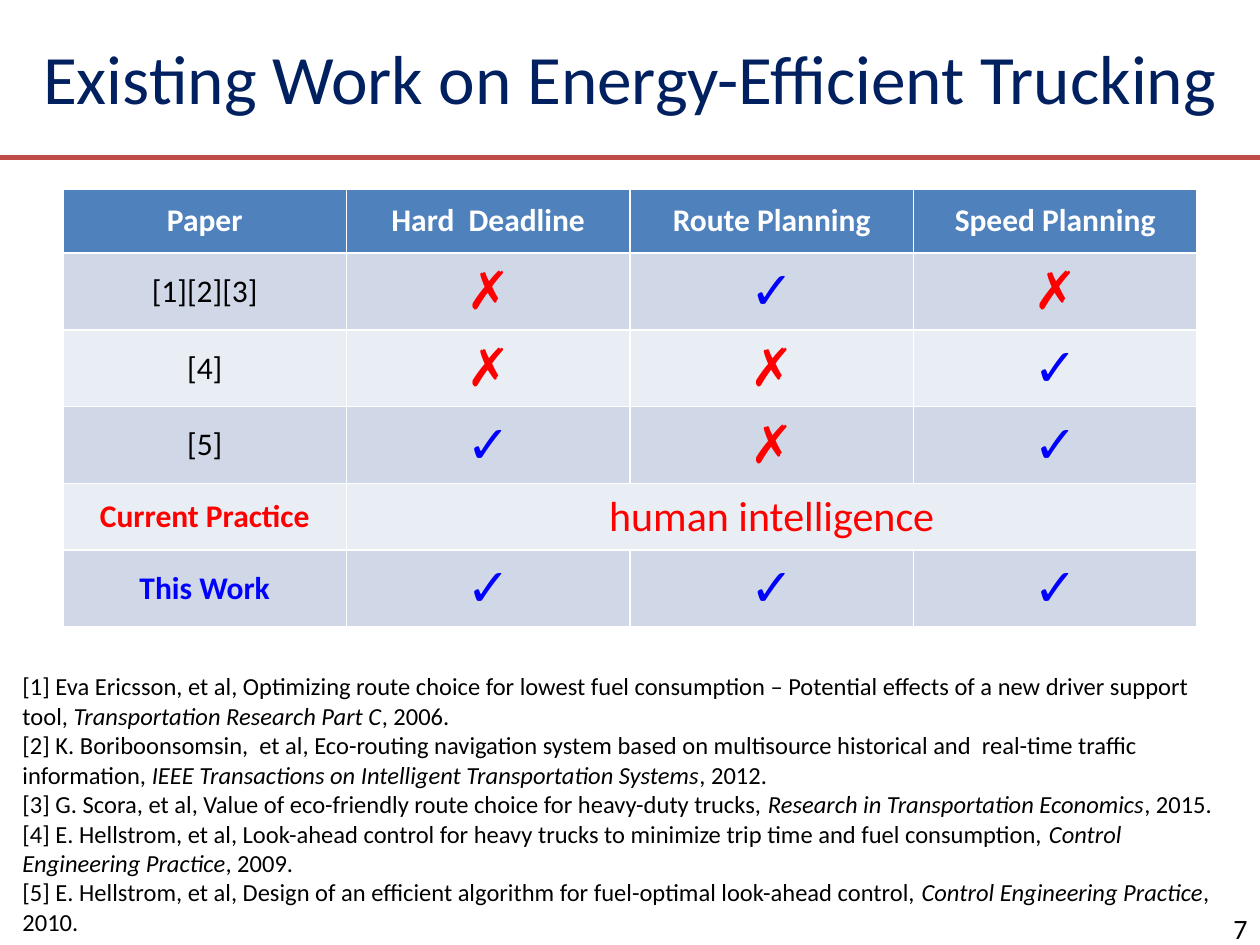
"""Build the slide comparing existing work on energy-efficient trucking."""
from lxml.etree import SubElement
from pptx import Presentation
from pptx.dml.color import RGBColor
from pptx.enum.text import MSO_ANCHOR, MSO_AUTO_SIZE, PP_ALIGN
from pptx.oxml.ns import qn
from pptx.util import Inches, Pt

FONT = "Calibri"
NAVY = RGBColor(0x00, 0x20, 0x60)
RULE_RED = RGBColor(0xBF, 0x4C, 0x48)
HEADER_BLUE = RGBColor(0x4F, 0x81, 0xBD)
BAND_DARK = RGBColor(0xD0, 0xD8, 0xE8)
BAND_LIGHT = RGBColor(0xE9, 0xED, 0xF4)
WHITE = RGBColor(0xFF, 0xFF, 0xFF)
BLACK = RGBColor(0x00, 0x00, 0x00)
RED = RGBColor(0xFF, 0x00, 0x00)
BLUE = RGBColor(0x00, 0x00, 0xFF)

TITLE = "Existing Work on Energy-Efficient Trucking"
PAGE = "7"
HEADINGS = ["Paper", "Hard  Deadline", "Route Planning", "Speed Planning"]
ROWS = [
    ["[1][2][3]", "✗", "✓", "✗"],
    ["[4]", "✗", "✗", "✓"],
    ["[5]", "✓", "✗", "✓"],
    ["Current Practice", "human intelligence"],
    ["This Work", "✓", "✓", "✓"],
]
STYLES = {
    "✗": (30, RED, False),
    "✓": (30, BLUE, False),
    "Current Practice": (18, RED, True),
    "human intelligence": (24, RED, False),
    "This Work": (18, BLUE, True),
}
REFERENCES = [
    ("[1] Eva Ericsson, et al, Optimizing route choice for lowest fuel consumption – "
     "Potential effects of a new driver support tool, ",
     "Transportation Research Part C", ", 2006."),
    ("[2] K. Boriboonsomsin,  et al, Eco-routing navigation system based on multisource "
     "historical and  real-time traffic information, ",
     "IEEE Transactions on Intelligent Transportation Systems", ", 2012."),
    ("[3] G. Scora, et al, Value of eco-friendly route choice for heavy-duty trucks, ",
     "Research in Transportation Economics", ", 2015."),
    ("[4] E. Hellstrom, et al, Look-ahead control for heavy trucks to minimize trip time "
     "and fuel consumption, ",
     "Control Engineering Practice", ", 2009."),
    ("[5] E. Hellstrom, et al, Design of an efficient algorithm for fuel-optimal "
     "look-ahead control, ",
     "Control Engineering Practice", ", 2010."),
]


def style(paragraph, size, color, bold=False, align=PP_ALIGN.LEFT):
    paragraph.alignment = align
    font = paragraph.font
    font.name, font.size, font.bold = FONT, Pt(size), bold
    font.color.rgb = color


def fill_cell(cell, text, size, color, bold, background):
    cell.text = text
    cell.vertical_anchor = MSO_ANCHOR.MIDDLE
    cell.fill.solid()
    cell.fill.fore_color.rgb = background
    style(cell.text_frame.paragraphs[0], size, color, bold, PP_ALIGN.CENTER)


def add_title(slide):
    title = slide.shapes.title
    title.left, title.top = Inches(0), Inches(0)
    title.width, title.height = Inches(10), Inches(1.22)
    title.text = TITLE
    title.text_frame.vertical_anchor = MSO_ANCHOR.MIDDLE
    title.text_frame.auto_size = MSO_AUTO_SIZE.NONE
    style(title.text_frame.paragraphs[0], 39.6, NAVY, align=PP_ALIGN.CENTER)
    rule = slide.shapes.add_connector(1, Inches(0), Inches(1.25), Inches(10), Inches(1.25))
    rule.line.color.rgb = RULE_RED
    rule.line.width = Pt(3)
    SubElement(rule._element.spPr, qn("a:effectLst"))


def add_comparison(slide):
    comparison = slide.shapes.add_table(
        len(ROWS) + 1, len(HEADINGS), Inches(0.5), Inches(1.5), Inches(9), Inches(3.16)).table
    for row in comparison.rows:
        row.height = Inches(0.53)
    comparison.rows[0].height = Inches(0.51)
    for column, heading in enumerate(HEADINGS):
        fill_cell(comparison.cell(0, column), heading, 18, WHITE, True, HEADER_BLUE)
    for number, entries in enumerate(ROWS, 1):
        background = BAND_DARK if number % 2 else BAND_LIGHT
        if len(entries) < len(HEADINGS):
            comparison.cell(number, 1).merge(comparison.cell(number, len(HEADINGS) - 1))
        for column, entry in enumerate(entries):
            fill_cell(comparison.cell(number, column), entry,
                      *STYLES.get(entry, (18, BLACK, False)), background)


def add_page_number(slide):
    frame = slide.shapes.add_textbox(
        Inches(7.67), Inches(7.23), Inches(2.33), Inches(0.27)).text_frame
    frame.word_wrap = True
    frame.vertical_anchor = MSO_ANCHOR.MIDDLE
    frame.text = PAGE
    style(frame.paragraphs[0], 16, BLACK, align=PP_ALIGN.RIGHT)


def add_references(slide):
    frame = slide.shapes.add_textbox(
        Inches(0.08), Inches(5.28), Inches(9.75), Inches(2.22)).text_frame
    frame.word_wrap = True
    frame.auto_size = MSO_AUTO_SIZE.SHAPE_TO_FIT_TEXT
    for index, (work, journal, year) in enumerate(REFERENCES):
        paragraph = frame.add_paragraph() if index else frame.paragraphs[0]
        style(paragraph, 14, BLACK)
        for text in (work, journal, year):
            run = paragraph.add_run()
            run.text = text
            run.font.italic = text == journal


def main():
    deck = Presentation()
    deck.slide_width, deck.slide_height = Inches(10), Inches(7.5)
    slide = deck.slides.add_slide(deck.slide_layouts[5])
    add_title(slide)
    add_comparison(slide)
    add_page_number(slide)
    add_references(slide)
    deck.save("out.pptx")


if __name__ == "__main__":
    main()
